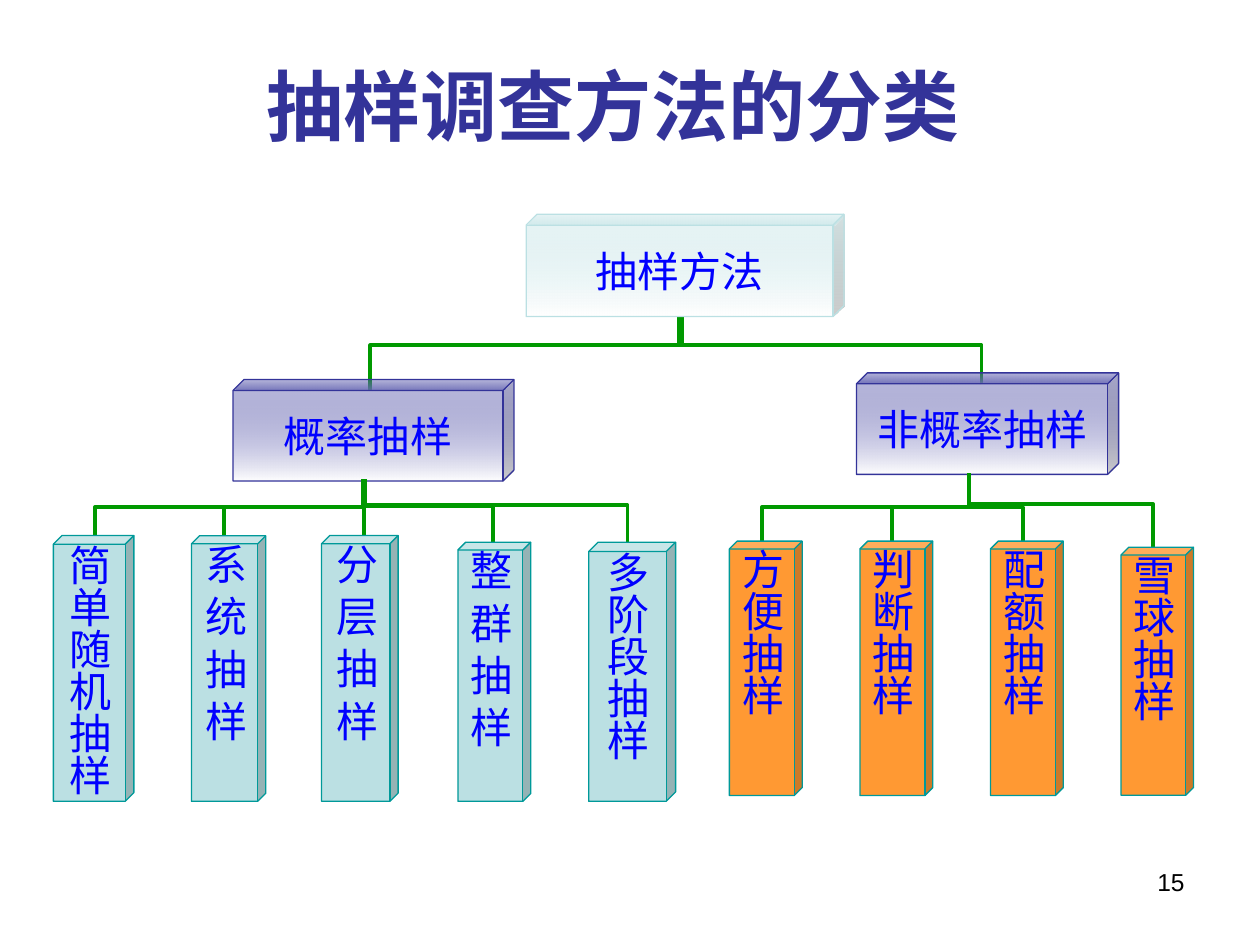
from lxml.etree import SubElement
from pptx import Presentation
from pptx.dml.color import RGBColor
from pptx.enum.shapes import MSO_CONNECTOR as Connector, MSO_SHAPE as Shape
from pptx.enum.text import MSO_ANCHOR as Anchor, PP_ALIGN as Align
from pptx.oxml.ns import qn
from pptx.util import Pt

NAVY = RGBColor(0x33, 0x33, 0x99)
BLUE = RGBColor(0x00, 0x00, 0xFF)
GREEN = RGBColor(0x00, 0x99, 0x00)
TEAL = RGBColor(0x00, 0x99, 0x99)
AQUA = RGBColor(0xBB, 0xE0, 0xE3)
ORANGE = RGBColor(0xFF, 0x99, 0x33)
WHITE = RGBColor(0xFF, 0xFF, 0xFF)
BLACK = RGBColor(0x00, 0x00, 0x00)
SERIF, SANS, CJK = "Times New Roman", "Arial", "Noto Sans CJK SC"

prs = Presentation()
prs.slide_width, prs.slide_height = Pt(720), Pt(540)
slide = prs.slides.add_slide(prs.slide_layouts[5])


def write(frame, text, align, **font_format):
    """Put one formatted paragraph in a text frame and return it."""
    paragraph = frame.paragraphs[0]
    paragraph.alignment = align
    run = paragraph.add_run()
    run.text = text
    fill_color = font_format.pop("color")
    for name, value in font_format.items():
        setattr(run.font, name, value)
    run.font.color.rgb = fill_color
    SubElement(run.font._element, qn("a:ea"), typeface=CJK)
    return paragraph


def branch(child_x, child_y, parent_x, parent_y, bend_y):
    """Join a child to its parent with an elbow that leaves vertically."""
    rise, run = child_y - parent_y, abs(child_x - parent_x)
    left = (child_x + parent_x - rise) / 2
    top = (child_y + parent_y - run) / 2
    ends = [left, left + rise]
    if child_x > parent_x:
        ends.reverse()
    line = slide.shapes.add_connector(
        Connector.ELBOW, Pt(ends[0]), Pt(top), Pt(ends[1]), Pt(top + run))
    line.line.color.rgb = GREEN
    line.line.width = Pt(2.25)
    properties = line.element.spPr
    turn = 90 if child_x > parent_x else 270
    properties.find(qn("a:xfrm")).set("rot", str(turn * 60000))
    guides = properties.find(qn("a:prstGeom")).get_or_add_avLst()
    bend = round((child_y - bend_y) / rise * 100000)
    SubElement(guides, qn("a:gd"), name="adj1", fmla=f"val {bend}")
    SubElement(properties, qn("a:effectLst"))


title = slide.shapes.title
title.left, title.top, title.width, title.height = Pt(26.6), Pt(0), Pt(648), Pt(90)
title.text_frame.vertical_anchor = Anchor.BOTTOM
write(title.text_frame, "抽样调查方法的分类", Align.CENTER,
      size=Pt(44), bold=True, name=SANS, color=NAVY)

number = slide.shapes.add_textbox(Pt(516), Pt(491.8), Pt(168), Pt(37.5))
number.text_frame.word_wrap = True
write(number.text_frame, "15", Align.RIGHT, size=Pt(14), name=SANS, color=BLACK)

# Each level: branches, cubes (text, left, top, width, height), style
overview = dict(
    branches=[(560.9, 219.6, 388.1, 180.7, 197.3), (211.7, 223.2, 389.5, 180.7, 197.3)],
    cubes=[("抽样方法", 300.7, 122.4, 181.6, 58.5, AQUA),
           ("概率抽样", 133.2, 216.9, 160.5, 58, NAVY),
           ("非概率抽样", 489.4, 213.1, 149.8, 58, NAVY)],
    upright=False, font=SERIF)
non_probability = dict(
    branches=[(658.8, 316.8, 553.7, 270, 288)]
    + [(x, 313.9, 553.7, 270, 289.7) for x in (584.6, 509.8, 435.6)],
    cubes=[(text, 416.8 + 74.6 * i, 309.2, 41.6, 145.4, ORANGE)
           for i, text in enumerate(["方便抽样", "判断抽样", "配额抽样"])]
    + [("雪球抽样", 640.6, 312.7, 41.4, 141.8, ORANGE)],
    upright=True, font=SERIF)
probability = dict(
    branches=[(358.6, 315.4, 207.4, 273.6, 288.7), (281.5, 314.6, 208.8, 273.6, 289.4),
              (208.1, 306, 207.4, 273.6, 289.8), (54.4, 306, 207.4, 273.6, 289.8),
              (127.8, 311, 207.4, 273.6, 289.8)],
    cubes=[("简单随机抽样", 30.5, 306, 46, 151.9, AQUA),
           ("系 统 抽 样", 109.4, 306.2, 42.5, 151.7, AQUA),
           ("分 层 抽 样", 183.7, 306, 43.8, 151.9, AQUA),
           ("整 群 抽 样", 261.7, 309.8, 41.6, 148.1, AQUA),
           ("多阶段抽样", 336.4, 309.8, 49.7, 148.1, AQUA)],
    upright=True, font=CJK)

for level in (overview, non_probability, probability):
    for points in level["branches"]:
        branch(*points)
    for text, left, top, width, height, color in level["cubes"]:
        cube = slide.shapes.add_shape(Shape.CUBE, Pt(left), Pt(top), Pt(width), Pt(height))
        cube.adjustments[0] = 0.108
        cube.shadow.inherit = False
        cube.line.width = Pt(0.75)
        if level["upright"]:
            cube.fill.solid()
            cube.fill.fore_color.rgb = color
            cube.line.color.rgb = TEAL
        else:
            cube.fill.gradient()
            cube.fill.gradient_angle = 270
            for stop, shade, position in zip(cube.fill.gradient_stops, (color, WHITE), (0, 1)):
                stop.color.rgb = shade
                stop.position = position
            tint = next(cube.element.spPr.iter(qn("a:srgbClr")))
            SubElement(tint, qn("a:alpha"), val="40000")
            cube.line.color.rgb = color
        frame = cube.text_frame
        layout = dict(margin_left=0, margin_top=0, margin_right=0, margin_bottom=0,
                      word_wrap=False, vertical_anchor=Anchor.MIDDLE)
        for name, value in layout.items():
            setattr(frame, name, value)
        if level["upright"]:
            frame._txBody.bodyPr.set("vert", "eaVert")
        label = write(frame, text, Align.CENTER, size=Pt(24), name=level["font"], color=BLUE)
        spacing = SubElement(label._p.get_or_add_pPr(), qn("a:spcBef"))
        SubElement(spacing, qn("a:spcPct"), val="50000")

prs.save("out.pptx")
